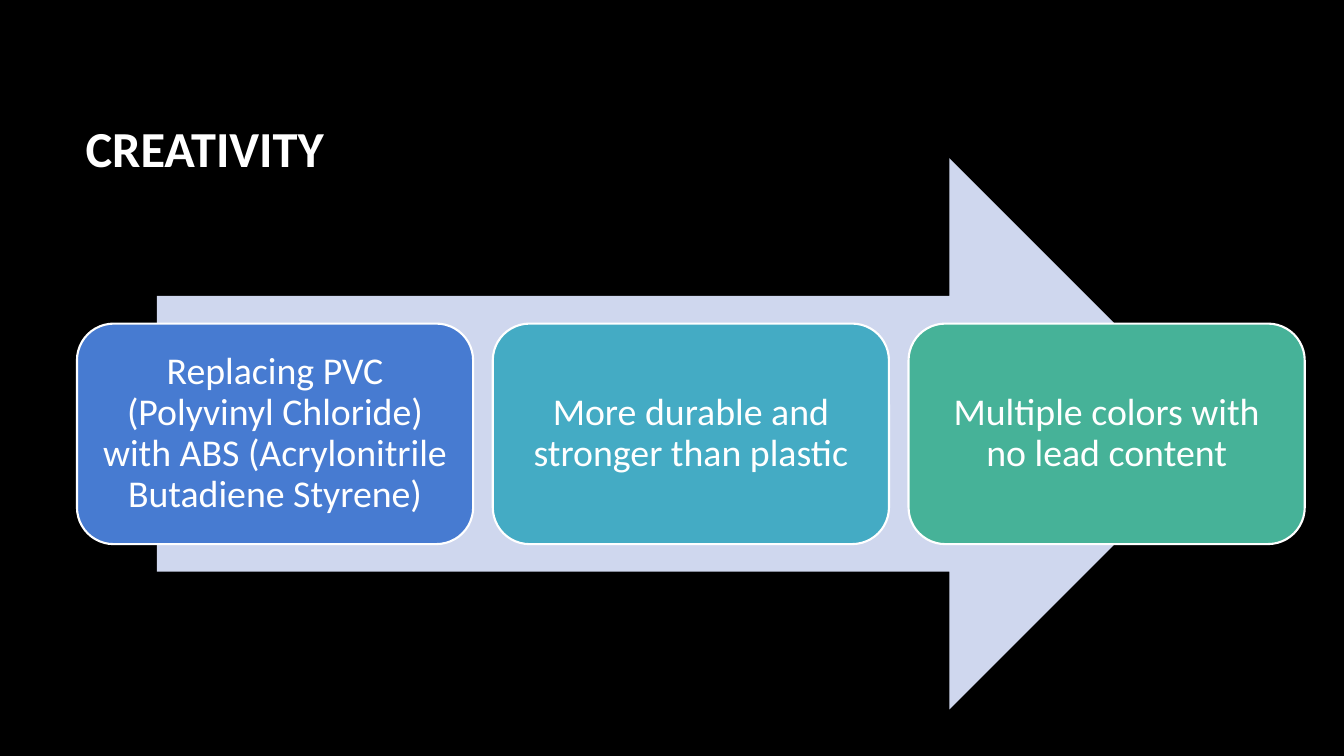
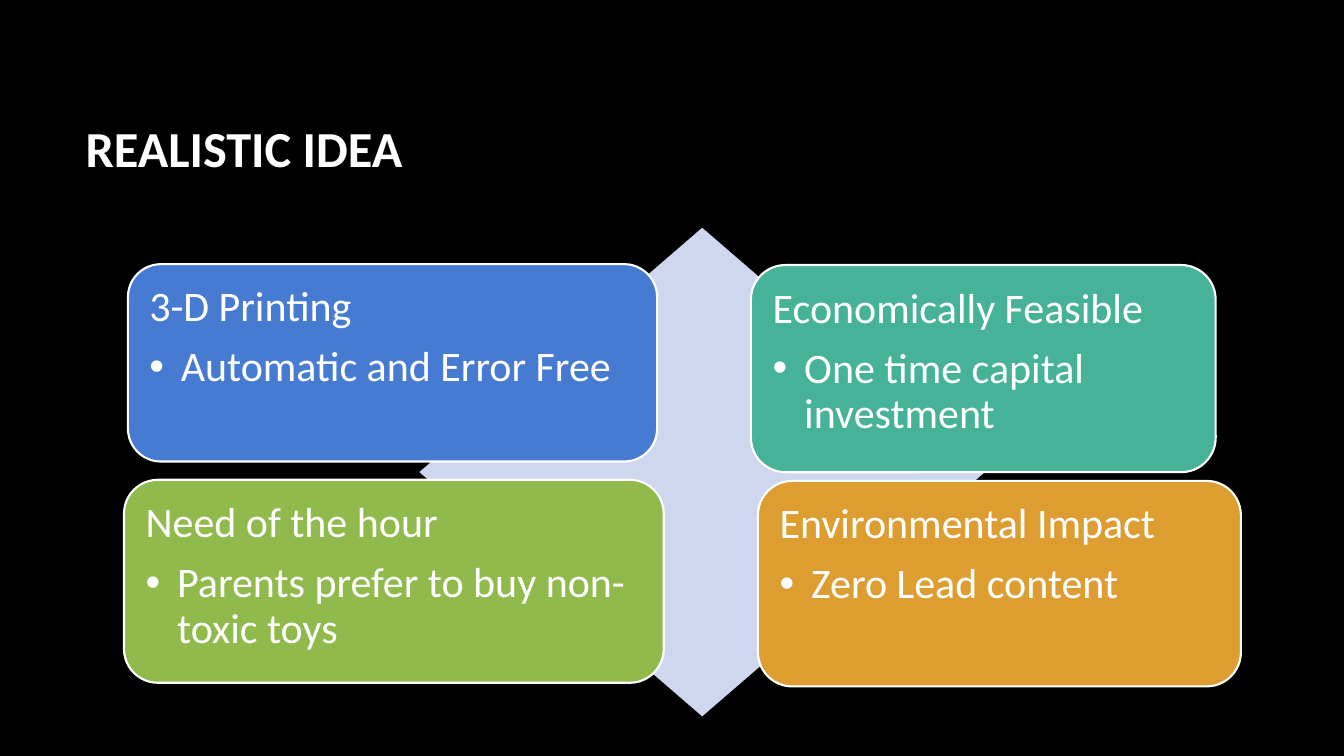
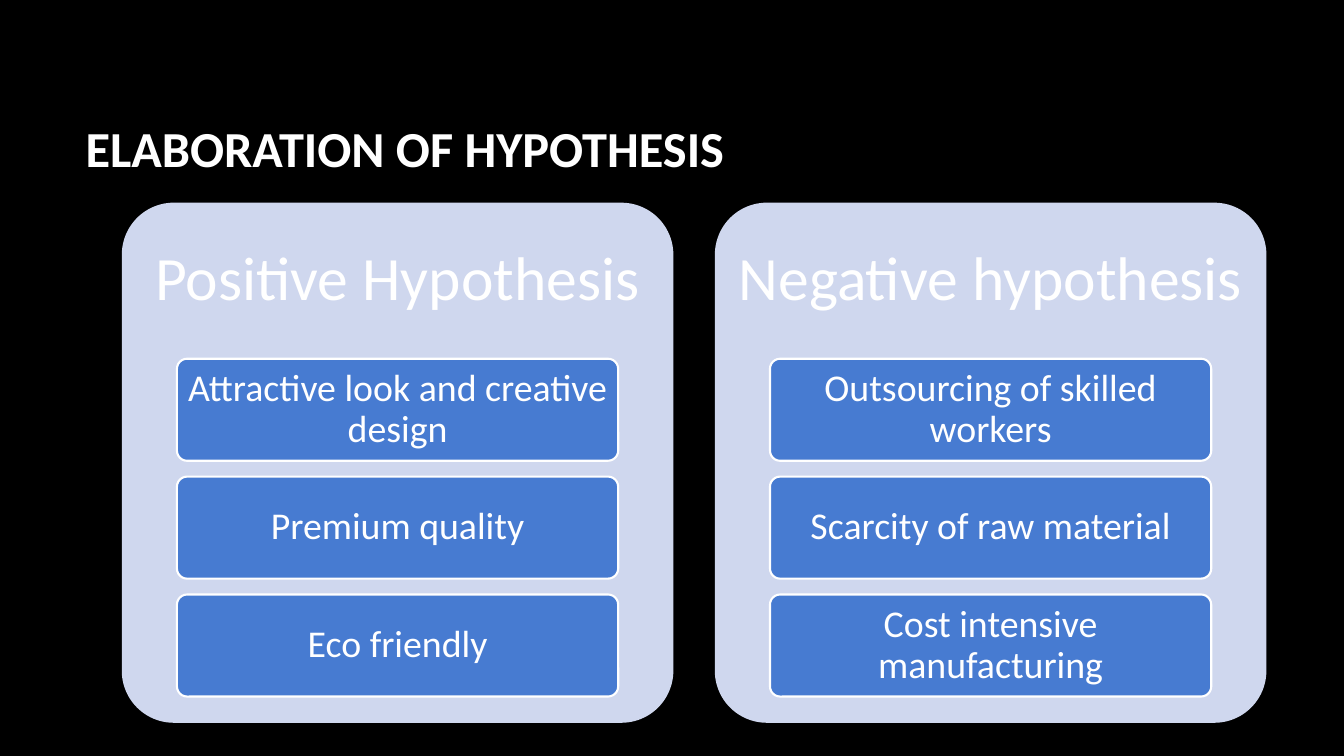
from lxml import etree
from pptx import Presentation
from pptx.dml.color import RGBColor
from pptx.enum.shapes import MSO_SHAPE
from pptx.enum.text import MSO_ANCHOR, PP_ALIGN
from pptx.oxml.ns import qn
from pptx.util import Pt

ROUNDED, ARROW, DIAMOND = (
    MSO_SHAPE.ROUNDED_RECTANGLE, MSO_SHAPE.RIGHT_ARROW, MSO_SHAPE.DIAMOND)
LEFT, CENTER = PP_ALIGN.LEFT, PP_ALIGN.CENTER
TOP, MIDDLE = MSO_ANCHOR.TOP, MSO_ANCHOR.MIDDLE

BLACK = RGBColor(0x00, 0x00, 0x00)
WHITE = RGBColor(0xFF, 0xFF, 0xFF)
PALE = RGBColor(0xCF, 0xD7, 0xEE)
BLUE = RGBColor(0x47, 0x7B, 0xD1)
CYAN = RGBColor(0x44, 0xAB, 0xC4)
TEAL = RGBColor(0x46, 0xB2, 0x98)
GREEN = RGBColor(0x90, 0xBA, 0x4C)
ORANGE = RGBColor(0xDD, 0x9D, 0x31)

FONT = "Calibri"
TITLE_BOX = (54, 48.2, 797.8, 114.5)
BULLET_INDENT = Pt(22.5)


def set_frame(shape, anchor, inset_x, inset_y):
    frame = shape.text_frame
    values = {
        "word_wrap": True, "vertical_anchor": anchor,
        "margin_left": Pt(inset_x), "margin_right": Pt(inset_x),
        "margin_top": Pt(inset_y), "margin_bottom": Pt(inset_y),
    }
    for name, value in values.items():
        setattr(frame, name, value)
    return frame


def write(para, text, size, align=CENTER, bold=False, spacing=0.9):
    para.alignment = align
    para.line_spacing = spacing
    span = para.add_run()
    span.text = text
    for name, value in {"name": FONT, "size": Pt(size), "bold": bold}.items():
        setattr(span.font, name, value)
    span.font.color.rgb = WHITE


def add_bullet(para):
    props = para._p.get_or_add_pPr()
    props.set("marL", str(BULLET_INDENT))
    props.set("indent", str(-BULLET_INDENT))
    etree.SubElement(props, qn("a:buFont")).set("typeface", "Arial")
    etree.SubElement(props, qn("a:buChar")).set("char", "•")


def add_text(page, box, text, size, inset_x=7.2, inset_y=3.6, **style):
    label = page.shapes.add_textbox(*map(Pt, box))
    frame = set_frame(label, MIDDLE, inset_x, inset_y)
    write(frame.paragraphs[0], text, size, **style)


def add_block(page, kind, box, fill, corner=None, outlined=False):
    block = page.shapes.add_shape(kind, *map(Pt, box))
    block.shadow.inherit = False
    block.fill.solid()
    block.fill.fore_color.rgb = fill
    if outlined:
        block.line.color.rgb = WHITE
        block.line.width = Pt(1.5)
    else:
        block.line.fill.background()
    if corner is not None:
        block.adjustments[0] = corner
    return block


def add_card(page, box, fill, text, inset_x, inset_y, corner=None):
    card = add_block(page, ROUNDED, box, fill, corner, outlined=True)
    frame = set_frame(card, MIDDLE, inset_x, inset_y)
    write(frame.paragraphs[0], text, 27)


def add_topic(page, box, fill, heading, detail):
    """Place a card with a heading and one bullet below it."""
    card = add_block(page, ROUNDED, box, fill, outlined=True)
    frame = set_frame(card, TOP, 8.4, 8.4)
    head = frame.paragraphs[0]
    write(head, heading, 30, LEFT)
    head.space_after = Pt(10.5)
    item = frame.add_paragraph()
    write(item, detail, 30, LEFT)
    add_bullet(item)


def add_page(deck, title):
    page = deck.slides.add_slide(deck.slide_layouts[6])
    add_text(page, TITLE_BOX, title, 36, align=LEFT, bold=True, spacing=1.0)
    return page


def add_arrow_row(page, box, cards):
    """Lay equal cards over an arrow that is inset in the box."""
    left, top, width, height = box
    arrow_width = width * 0.87
    add_block(page, ARROW,
              (left + (width - arrow_width) / 2, top, arrow_width, height), PALE)
    gap = 14
    card_width = (width - gap * (len(cards) - 1)) / len(cards)
    for index, (fill, text) in enumerate(cards):
        place = (left + index * (card_width + gap), top + height * 0.3,
                 card_width, height * 0.4)
        add_card(page, place, fill, text, 8, 8)


def add_diamond_topics(page, box, topics):
    """Draw the diamond in the box; topic offsets start at its corner."""
    left, top = box[:2]
    add_block(page, DIAMOND, box, PALE)
    for (dx, dy, width, height), fill, heading, detail in topics:
        add_topic(page, (left + dx, top + dy, width, height),
                  fill, heading, detail)


def add_panel(page, box, heading, items):
    left, top, width, height = box
    add_block(page, ROUNDED, box, PALE, corner=0.1)
    add_text(page, (left, top, width, height * 0.3), heading, 44, 13, 13)
    card_height, pitch = 72.9, 84.2
    for index, text in enumerate(items):
        place = (left + width * 0.1, top + height * 0.3 + index * pitch,
                 width * 0.8, card_height)
        add_card(page, place, BLUE, text, 5, 4, corner=0.1)


def main():
    deck = Presentation()
    deck.slide_width, deck.slide_height = Pt(960), Pt(540)
    backdrop = deck.slide_master.background.fill
    backdrop.solid()
    backdrop.fore_color.rgb = BLACK

    page = add_page(deck, "CREATIVITY")
    add_arrow_row(page, (55, 113, 877, 393.8), [
        (BLUE, "Replacing PVC (Polyvinyl Chloride) with ABS "
               "(Acrylonitrile Butadiene Styrene)"),
        (CYAN, "More durable and stronger than plastic"),
        (TEAL, "Multiple colors with no lead content"),
    ])

    page = add_page(deck, "REALISTIC IDEA")
    add_diamond_topics(page, (299.6, 162.7, 404, 349), [
        ((-208.2, 26, 378, 141), BLUE,
         "3-D Printing", "Automatic and Error Free"),
        ((236.8, 26.6, 332, 148), TEAL,
         "Economically Feasible", "One time capital investment"),
        ((-211, 180, 385.5, 145), GREEN,
         "Need of the hour", "Parents prefer to buy non-toxic toys"),
        ((241.8, 180.8, 345, 146.8), ORANGE,
         "Environmental Impact", "Zero Lead content"),
    ])

    page = add_page(deck, "ELABORATION OF HYPOTHESIS")
    panels = [
        ("Positive Hypothesis",
         ["Attractive look and creative design", "Premium quality",
          "Eco friendly"]),
        ("Negative hypothesis",
         ["Outsourcing of skilled workers", "Scarcity of raw material",
          "Cost intensive manufacturing"]),
    ]
    for index, (heading, items) in enumerate(panels):
        add_panel(page, (87 + index * 423.6, 144.8, 394, 371.5),
                  heading, items)

    deck.save("out.pptx")


if __name__ == "__main__":
    main()
